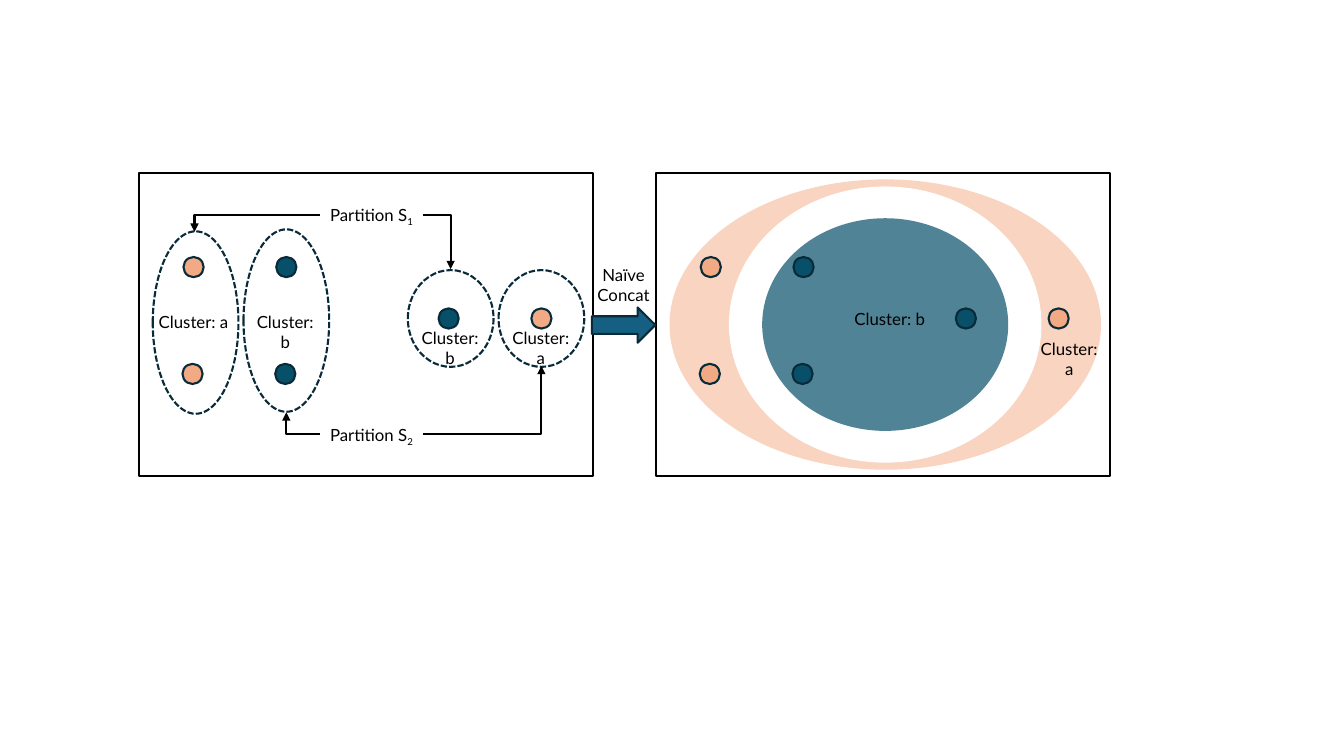
from lxml.etree import SubElement
from pptx import Presentation
from pptx.dml.color import RGBColor
from pptx.enum.dml import MSO_LINE
from pptx.enum.shapes import MSO_CONNECTOR, MSO_SHAPE
from pptx.enum.text import MSO_AUTO_SIZE, PP_ALIGN
from pptx.oxml.ns import qn
from pptx.util import Inches, Pt

PEACH, TEAL, NAVY, BLACK, WHITE, BLUE = (
    "F2AA84", "084F6A", "092A39", "000000", "FFFFFF", "156082")
FONT = {"name": "Lato", "size": Pt(12)}
FRAME = {"word_wrap": True, "auto_size": MSO_AUTO_SIZE.SHAPE_TO_FIT_TEXT}

BOX = (1.38, 1.72, 4.5, 3)
SHIFT = 5.13  # from the left panel to the right one
DOT = 0.2
# centre x, centre y, colour
DOTS = [
    (2.83, 3.71, TEAL), (2.84, 2.65, TEAL), (4.45, 3.16, TEAL),
    (1.91, 3.71, PEACH), (1.92, 2.65, PEACH), (5.37, 3.16, PEACH),
]
# centre x, centre y, width, height
GROUPS = [
    (2.84, 3.18, 0.85, 1.81), (1.94, 3.2, 0.85, 1.81),
    (5.37, 3.16, 0.85, 0.96), (4.47, 3.16, 0.85, 0.96),
]
# width, height, colour, opacity in percent
RINGS = [(4.28, 2.88, PEACH, 50), (3.1, 2.74, WHITE, 100), (2.44, 2.11, TEAL, 70)]
RING_MID = (8.78, 3.22)
# text, subscript, left, top, width, height
LABELS = [
    ("Partition S", "1", 3.17, 1.98, 1.03, 0.3),
    ("Partition S", "2", 3.17, 4.16, 1.03, 0.3),
    ("Cluster: a", "", 1.46, 3.04, 0.92, 0.5),
    ("Cluster: b", "", 2.4, 3.04, 0.86, 0.5),
    ("Cluster: b", "", 4.04, 3.2, 0.85, 0.5),
    ("Cluster: a", "", 4.95, 3.2, 0.83, 0.5),
    ("Cluster: b", "", 7.93, 3.01, 1.79, 0.3),
    ("Cluster: a", "", 10.17, 3.31, 0.87, 0.5),
    ("Naïve Concat", "", 5.77, 2.58, 0.83, 0.5),
]
# start x, start y, end x, end y
LINKS = [
    (3.17, 2.13, 1.93, 2.3), (4.2, 2.13, 4.47, 2.67),
    (4.2, 4.31, 5.37, 3.63), (3.17, 4.31, 2.84, 4.09),
]

deck = Presentation()
deck.slide_width, deck.slide_height = Inches(13.33), Inches(7.5)
shapes = deck.slides.add_slide(deck.slide_layouts[6]).shapes


def color(code):
    return RGBColor.from_string(code)


def apply(target, values):
    for name, value in values.items():
        setattr(target, name, value)


def draw(kind, area, fill=None, line=None, dash=None, alpha=100):
    shape = shapes.add_shape(kind, *map(Inches, area))
    shape.shadow.inherit = False
    if fill:
        shape.fill.solid()
        shape.fill.fore_color.rgb = color(fill)
        if alpha < 100:
            tint = shape.fill._xPr.find(qn("a:solidFill"))[0]
            SubElement(tint, qn("a:alpha"), val=str(alpha * 1000))
    else:
        shape.fill.background()
    if line:
        shape.line.color.rgb = color(line)
        apply(shape.line, {"width": Pt(1.5), "dash_style": dash})
    else:
        shape.line.fill.background()


def oval(x, y, wide, high, **style):
    """Draw an ellipse around its centre."""
    draw(MSO_SHAPE.OVAL, (x - wide / 2, y - high / 2, wide, high), **style)


def panel(shift):
    """Draw the box and six dots that both panels share."""
    left, *rest = BOX
    draw(MSO_SHAPE.RECTANGLE, (left + shift, *rest), line=BLACK)
    for x, y, fill in DOTS:
        oval(x + shift, y, DOT, DOT, fill=fill, line=NAVY)


def label(text, sub, *area):
    frame = shapes.add_textbox(*map(Inches, area)).text_frame
    apply(frame, FRAME)
    para = frame.paragraphs[0]
    para.alignment = PP_ALIGN.CENTER
    for part in filter(None, (text, sub)):
        run = para.add_run()
        run.text = part
        apply(run.font, FONT)
        run.font.color.rgb = color(BLACK)
    if sub:
        run.font._element.set("baseline", "-25000")


def link(*ends):
    """Draw an arrow that runs across, then turns once."""
    wire = shapes.add_connector(MSO_CONNECTOR.ELBOW, *map(Inches, ends))
    wire.line.color.rgb = color(BLACK)
    wire.line.width = Pt(1.5)
    props = wire._element.spPr
    props.find(qn("a:prstGeom")).set("prst", "bentConnector2")
    SubElement(props.find(qn("a:ln")), qn("a:tailEnd"), type="triangle")
    SubElement(props, qn("a:effectLst"))


panel(0)
for group in GROUPS:
    oval(*group, line=NAVY, dash=MSO_LINE.SQUARE_DOT)
for ends in LINKS:
    link(*ends)
for wide, high, fill, alpha in RINGS:
    oval(*RING_MID, wide, high, fill=fill, alpha=alpha)
panel(SHIFT)
draw(MSO_SHAPE.RIGHT_ARROW, (5.87, 3.05, 0.63, 0.35), fill=BLUE, line=NAVY)
for item in LABELS:
    label(*item)

deck.save("out.pptx")
